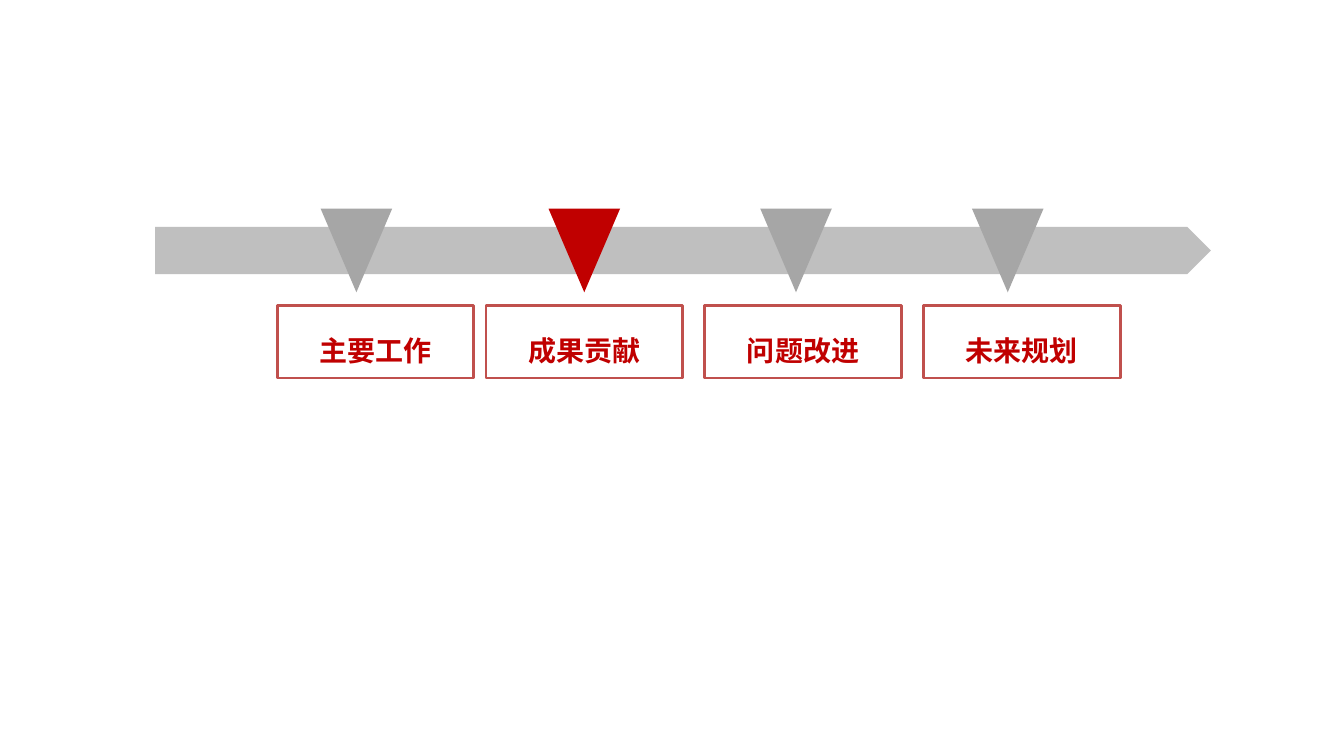
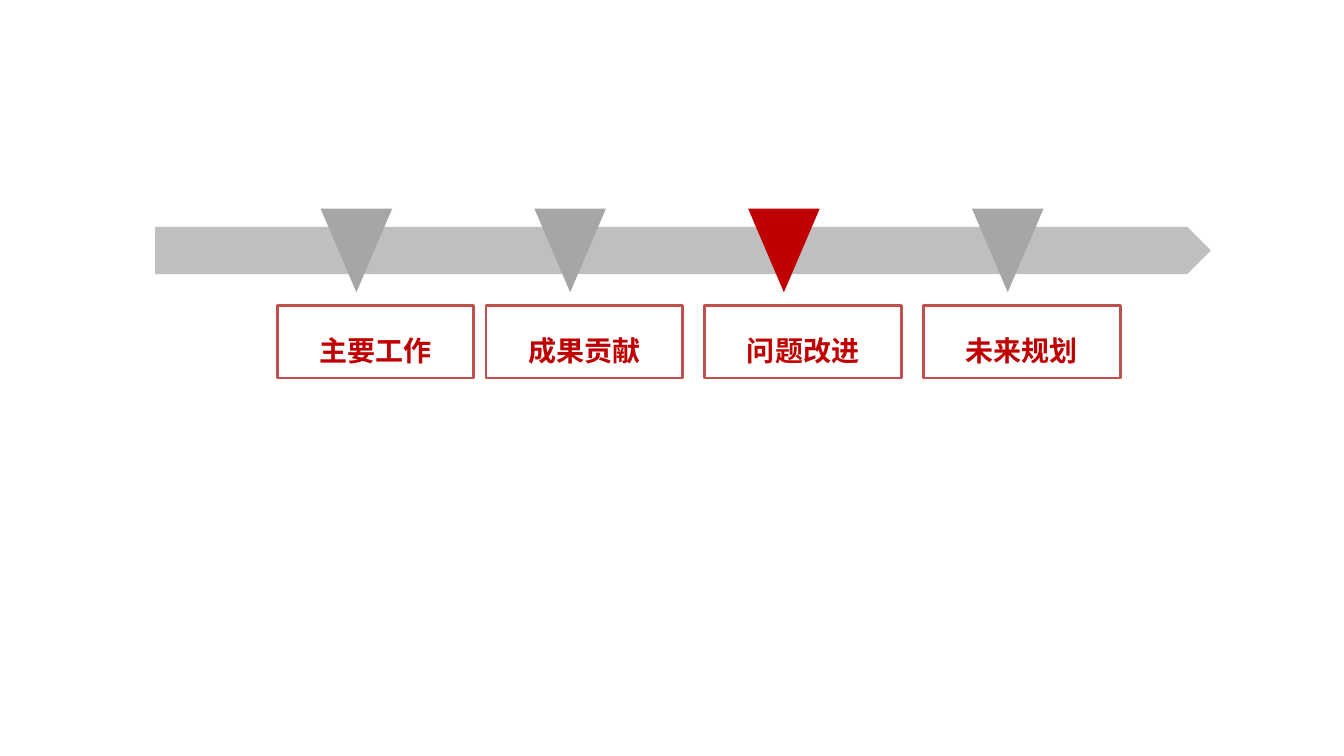
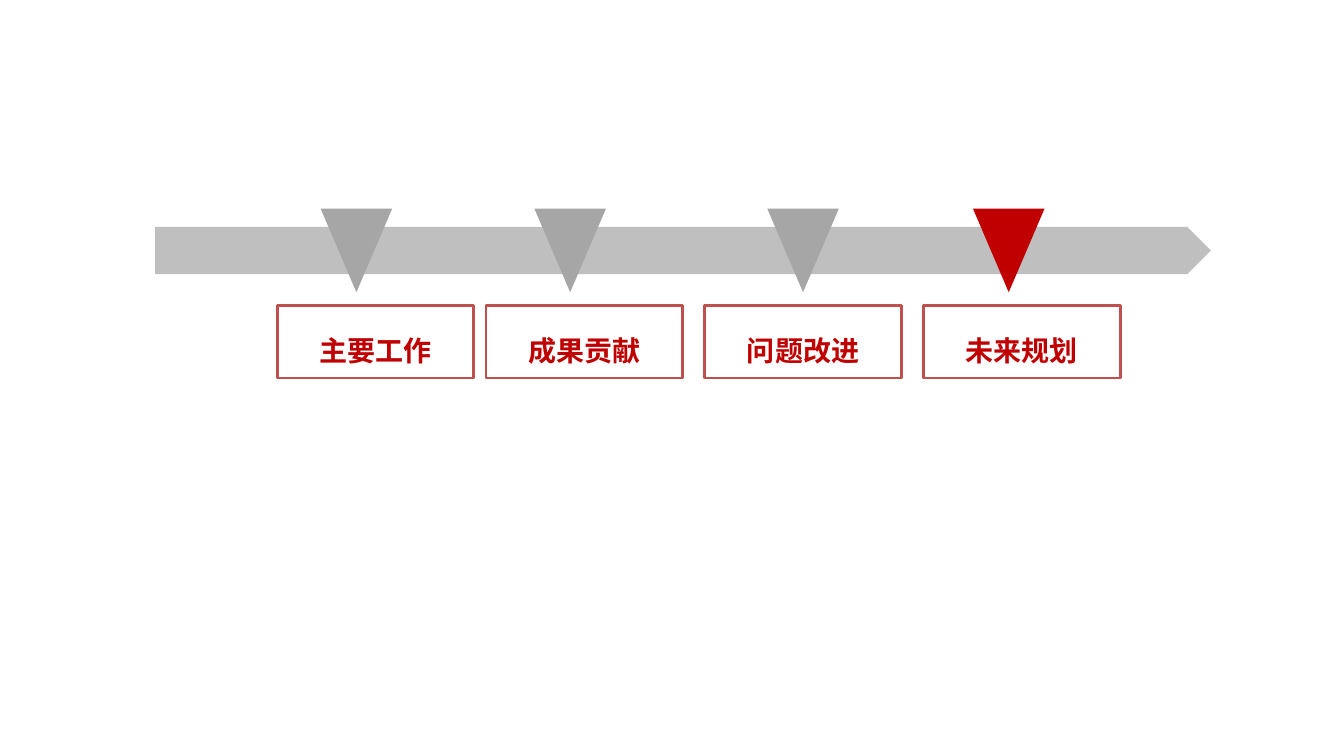
import pptx
import pptx.dml.color
import pptx.enum.shapes
import pptx.enum.text
import pptx.oxml
import pptx.oxml.ns
import pptx.util

Inches = pptx.util.Inches
SHAPES = pptx.enum.shapes.MSO_SHAPE

FONT = "Noto Sans CJK SC"
RED, BORDER, BAND, GREY, WHITE = "C00000", "C0504D", "BFBFBF", "A6A6A6", "FFFFFF"

# Each stage: label and left edge of its box
STAGES = [("主要工作", 2.75), ("成果贡献", 4.82), ("问题改进", 6.99), ("未来规划", 9.16)]

# Each slide: index of the current stage and left edges of the four markers
SLIDES = [
    (1, (3.18, 5.44, 7.54, 9.64)),
    (2, (3.18, 5.30, 7.42, 9.64)),
    (3, (3.18, 5.30, 7.61, 9.65)),
]


def color(hex_code):
    return pptx.dml.color.RGBColor.from_string(hex_code)


def add_block(page, kind, left, top, width, height, fill, line=None):
    """Add a flat preset shape, outlined only when a line colour is given."""
    block = page.shapes.add_shape(
        kind, Inches(left), Inches(top), Inches(width), Inches(height))
    block.shadow.inherit = False
    block.fill.solid()
    block.fill.fore_color.rgb = color(fill)
    if line:
        block.line.color.rgb = color(line)
        block.line.width = pptx.util.Pt(2)
    else:
        block.line.fill.background()
    return block


def write_label(box, text):
    frame = box.text_frame
    frame.text = text
    frame.vertical_anchor = pptx.enum.text.MSO_ANCHOR.MIDDLE
    para = frame.paragraphs[0]
    para.alignment = pptx.enum.text.PP_ALIGN.CENTER
    para.line_spacing = 1.5
    span = para.runs[0]
    span.font.size = pptx.util.Pt(20)
    span.font.bold = True
    span.font.color.rgb = color(RED)
    span.font.name = FONT
    # Chinese characters take their typeface from a:ea
    east_asian = pptx.oxml.parse_xml(
        f'<a:ea {pptx.oxml.ns.nsdecls("a")} typeface="{FONT}"/>')
    span.font._element.find(pptx.oxml.ns.qn("a:latin")).addnext(east_asian)


def add_timeline(page, current, marker_lefts):
    add_block(page, SHAPES.PENTAGON, 1.54, 2.25, 10.47, 0.47, BAND)
    for index, left in enumerate(marker_lefts):
        fill = RED if index == current else GREY
        add_block(page, SHAPES.FLOWCHART_MERGE, left, 2.07, 0.71, 0.83, fill)
    for label, left in STAGES:
        box = add_block(page, SHAPES.RECTANGLE, left, 3.03, 1.95, 0.72, WHITE, BORDER)
        write_label(box, label)


def main():
    deck = pptx.Presentation()
    deck.slide_width, deck.slide_height = Inches(13.33), Inches(7.5)
    blank_layout = deck.slide_layouts[6]
    for current, marker_lefts in SLIDES:
        add_timeline(deck.slides.add_slide(blank_layout), current, marker_lefts)
    deck.save("out.pptx")


if __name__ == "__main__":
    main()
